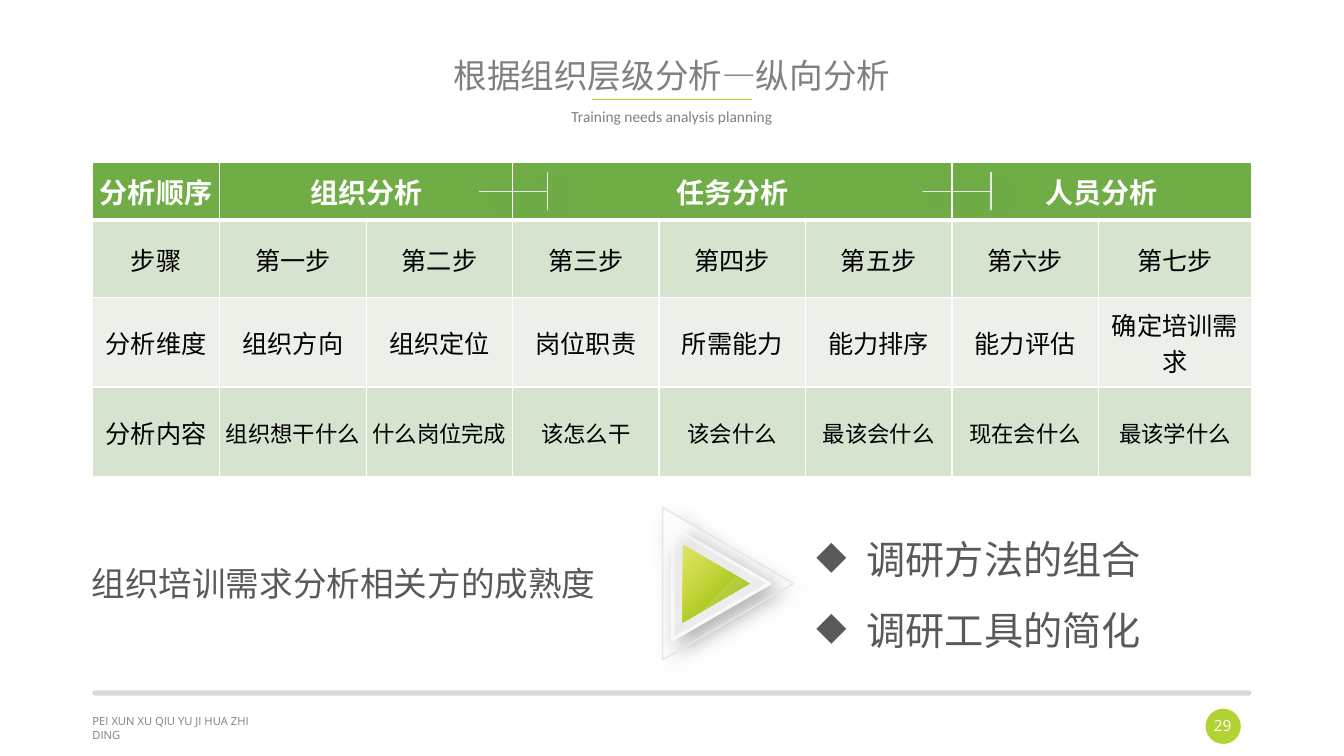
from dataclasses import dataclass

from lxml import etree
from pptx import Presentation
from pptx.dml.color import RGBColor
from pptx.enum.shapes import MSO_CONNECTOR, MSO_SHAPE
from pptx.enum.text import MSO_ANCHOR, MSO_AUTO_SIZE, PP_ALIGN
from pptx.oxml import parse_xml
from pptx.oxml.ns import nsdecls, qn
from pptx.util import Pt

TRIANGLE, UP_ARROW = MSO_SHAPE.ISOSCELES_TRIANGLE, MSO_SHAPE.UP_ARROW
OVAL, ROUNDED = MSO_SHAPE.OVAL, MSO_SHAPE.ROUNDED_RECTANGLE
STRAIGHT = MSO_CONNECTOR.STRAIGHT
LEFT, CENTER = PP_ALIGN.LEFT, PP_ALIGN.CENTER
MIDDLE = MSO_ANCHOR.MIDDLE
GROW, NO_FIT = MSO_AUTO_SIZE.SHAPE_TO_FIT_TEXT, MSO_AUTO_SIZE.NONE

WHITE = RGBColor(0xFF, 0xFF, 0xFF)
BLACK = RGBColor(0, 0, 0)
GRAY = RGBColor(0x80, 0x80, 0x80)
DARK_GRAY = RGBColor(0x59, 0x59, 0x59)
RULE_GRAY = RGBColor(0xD9, 0xD9, 0xD9)
GLASS_EDGE = RGBColor(0xE6, 0xE6, 0xE6)
LIME = RGBColor(0xB3, 0xD3, 0x34)
HEADER_GREEN = RGBColor(0x70, 0xAD, 0x47)
BAND_DARK = RGBColor(0xD5, 0xE3, 0xCF)
BAND_LIGHT = RGBColor(0xEB, 0xF1, 0xE9)
SILVER_START, SILVER_END = RGBColor(0xF0, 0xF0, 0xF0), RGBColor(0xF1, 0xF1, 0xF1)
YELLOW_GREEN, LEAF_GREEN = RGBColor(0xE0, 0xE2, 0x00), RGBColor(0x94, 0xC1, 0x15)


@dataclass(frozen=True)
class Label:
    box: tuple[float, float, float, float]
    lines: tuple[str, ...]
    size: float
    color: RGBColor
    font: str = "Calibri"
    align: PP_ALIGN = LEFT
    spacing: float = 1.0
    bullet: str = ""
    autosize: MSO_AUTO_SIZE = GROW


@dataclass(frozen=True)
class Stop:
    position: int
    color: RGBColor
    opacity: int = 100


@dataclass(frozen=True)
class Shadow:
    opacity: int
    blur: float
    distance: float


@dataclass(frozen=True)
class Ornament:
    kind: MSO_SHAPE
    box: tuple[float, float, float, float]
    stops: tuple[Stop, ...]
    edge: RGBColor | None = None
    edge_width: float = 1
    shadow: Shadow | None = None


GLASS = (Stop(15, WHITE, 87), Stop(22, WHITE, 40), Stop(50, WHITE, 10), Stop(50, WHITE, 20))
GLASS_SHADOW = Shadow(15, 18, 7)

LABELS = (
    Label((59, 506.9, 128, 17.3), ("PEI XUN XU QIU YU JI HUA ZHI DING",), 8, GRAY, "Open Sans"),
    Label((859.7, 508.3, 27.4, 20.9), ("29",), 11, WHITE, "Open Sans", CENTER),
    Label((66, 74.2, 828, 41.8), ("Training needs analysis planning",), 11, GRAY,
          align=CENTER, spacing=0.9, autosize=NO_FIT),
    Label((576, 362.2, 262.8, 103.7), ("调研方法的组合", "调研工具的简化"), 28, DARK_GRAY,
          spacing=1.5, bullet="◆"),
    Label((58.3, 398.9, 414.7, 36), ("组织培训需求分析相关方的成熟度",), 24, DARK_GRAY),
)

ORNAMENTS = (
    *(Ornament(UP_ARROW, (left, 112.3, 26.6, 48.6), GLASS, GLASS_EDGE, 1, GLASS_SHADOW)
      for left in (353.5, 670.3)),
    Ornament(TRIANGLE, (475.2, 382.3, 79.9, 69.1),
             (Stop(0, SILVER_START), Stop(100, SILVER_END)), WHITE, 2.25, Shadow(35, 15, 7)),
    Ornament(TRIANGLE, (483.8, 393.1, 55.4, 47.5),
             (Stop(0, YELLOW_GREEN), Stop(84, LEAF_GREEN))),
    Ornament(TRIANGLE, (465.8, 370.1, 108.7, 93.6), GLASS, GLASS_EDGE, 1, GLASS_SHADOW),
)

COLUMN_WIDTHS = (91, *(104.6,) * 6, 109.4)
ROW_HEIGHTS = (41, 55.4, 64.1, 64.1)
HEADERS = (("分析顺序", 1), ("组织分析", 2), ("任务分析", 3), ("人员分析", 2))
BODY_ROWS = (
    ("步骤", "第一步", "第二步", "第三步", "第四步", "第五步", "第六步", "第七步"),
    ("分析维度", "组织方向", "组织定位", "岗位职责", "所需能力", "能力排序", "能力评估", "确定培训需求"),
    ("分析内容", "组织想干什么", "什么岗位完成", "该怎么干", "该会什么", "最该会什么", "现在会什么", "最该学什么"),
)


def points(values) -> list:
    return [Pt(value) for value in values]


def format_paragraph(paragraph, size: float, color: RGBColor, align: PP_ALIGN,
                     font: str = "Calibri", bold: bool = False) -> None:
    paragraph.alignment = align
    for run in paragraph.runs:
        run.font.size, run.font.name, run.font.bold = Pt(size), font, bold
        run.font.color.rgb = color


def add_label(slide, label: Label) -> None:
    frame = slide.shapes.add_textbox(*points(label.box)).text_frame
    frame.text = "\n".join(label.lines)
    frame.word_wrap = True
    frame.auto_size = label.autosize
    for paragraph in frame.paragraphs:
        if label.bullet:
            properties = paragraph._p.get_or_add_pPr()
            properties.set("marL", str(Pt(36)))
            properties.set("indent", str(-Pt(36)))
            etree.SubElement(properties, qn("a:buChar")).set("char", label.bullet)
        paragraph.line_spacing = label.spacing
        format_paragraph(paragraph, label.size, label.color, label.align, label.font)


def add_flat_shape(slide, kind: MSO_SHAPE, box: tuple, color: RGBColor):
    shape = slide.shapes.add_shape(kind, *points(box))
    shape.shadow.inherit = False
    shape.fill.solid()
    shape.fill.fore_color.rgb = color
    shape.line.fill.background()
    return shape


def add_ornament(slide, ornament: Ornament) -> None:
    shape = add_flat_shape(slide, ornament.kind, ornament.box, WHITE)
    shape.rotation = 90
    if ornament.kind == UP_ARROW:
        shape.adjustments[0] = shape.adjustments[1] = 0
    if ornament.edge is not None:
        shape.line.color.rgb = ornament.edge
        shape.line.width = Pt(ornament.edge_width)
    properties = shape._element.spPr
    stops = "".join(
        f'<a:gs pos="{stop.position * 1000}"><a:srgbClr val="{stop.color}">'
        f'<a:alpha val="{stop.opacity * 1000}"/></a:srgbClr></a:gs>'
        for stop in ornament.stops)
    gradient = parse_xml(
        f'<a:gradFill {nsdecls("a")} rotWithShape="0"><a:gsLst>{stops}</a:gsLst>'
        '<a:lin ang="2700000" scaled="0"/></a:gradFill>')
    properties.replace(properties.find(qn("a:solidFill")), gradient)
    if ornament.shadow is not None:
        shadow = ornament.shadow
        properties.find(qn("a:effectLst")).append(parse_xml(
            f'<a:outerShdw {nsdecls("a")} blurRad="{Pt(shadow.blur)}" dist="{Pt(shadow.distance)}" '
            f'dir="2700000" algn="tl" rotWithShape="0"><a:srgbClr val="{BLACK}">'
            f'<a:alpha val="{shadow.opacity * 1000}"/></a:srgbClr></a:outerShdw>'))


def format_cell(cell, text: str, fill: RGBColor, size: float, color: RGBColor,
                bold: bool, bottom_width: float) -> None:
    cell.text = text
    cell.vertical_anchor = MIDDLE
    cell.margin_left = cell.margin_right = cell.margin_top = Pt(0.72)
    cell.margin_bottom = 0
    cell.fill.solid()
    cell.fill.fore_color.rgb = fill
    format_paragraph(cell.text_frame.paragraphs[0], size, color, CENTER, bold=bold)
    borders = (("lnL", 1), ("lnR", 1), ("lnT", 1), ("lnB", bottom_width))
    for index, (side, width) in enumerate(borders):
        cell._tc.get_or_add_tcPr().insert(index, parse_xml(
            f'<a:{side} {nsdecls("a")} w="{Pt(width)}"><a:solidFill>'
            f'<a:srgbClr val="{WHITE}"/></a:solidFill></a:{side}>'))


def add_analysis_table(slide) -> None:
    table = slide.shapes.add_table(
        len(ROW_HEIGHTS), len(COLUMN_WIDTHS),
        *points((66, 116, sum(COLUMN_WIDTHS), sum(ROW_HEIGHTS)))).table
    for column, width in zip(table.columns, COLUMN_WIDTHS):
        column.width = Pt(width)
    for row, height in zip(table.rows, ROW_HEIGHTS):
        row.height = Pt(height)
    header_texts = [text if offset == 0 else ""
                    for text, span in HEADERS for offset in range(span)]
    for column, text in enumerate(header_texts):
        format_cell(table.cell(0, column), text, HEADER_GREEN, 20, WHITE, True, 3)
    start = 0
    for _, span in HEADERS:
        if span > 1:
            table.cell(0, start).merge(table.cell(0, start + span - 1))
        start += span
    for row, texts in enumerate(BODY_ROWS, 1):
        fill = BAND_DARK if row % 2 else BAND_LIGHT
        for column, text in enumerate(texts):
            size = 16 if row == len(BODY_ROWS) and column else 18
            format_cell(table.cell(row, column), text, fill, size, BLACK, False, 1)


def add_title(slide) -> None:
    title = slide.shapes.title
    title.left, title.top, title.width, title.height = points((66, 24.5, 828, 61.9))
    title.text_frame.text = "根据组织层级分析—纵向分析"
    title.text_frame.vertical_anchor = MIDDLE
    paragraph = title.text_frame.paragraphs[0]
    paragraph.line_spacing = 0.9
    format_paragraph(paragraph, 24, GRAY, CENTER)


def main() -> None:
    presentation = Presentation()
    presentation.slide_width, presentation.slide_height = Pt(960), Pt(540)
    slide = presentation.slides.add_slide(presentation.slide_layouts[5])
    add_title(slide)
    footer_rule = add_flat_shape(slide, ROUNDED, (66, 493.2, 828, 3.6), RULE_GRAY)
    footer_rule.adjustments[0] = 0.5
    add_flat_shape(slide, OVAL, (861.1, 506.2, 25.2, 25.2), LIME)
    underline = slide.shapes.add_connector(STRAIGHT, *points((422.6, 71.3, 537.1, 71.3)))
    underline.line.color.rgb = LIME
    underline.line.width = Pt(0.5)
    etree.SubElement(underline._element.spPr, qn("a:effectLst"))
    add_analysis_table(slide)
    for label in LABELS:
        add_label(slide, label)
    for ornament in ORNAMENTS:
        add_ornament(slide, ornament)
    presentation.save("out.pptx")


if __name__ == "__main__":
    main()
